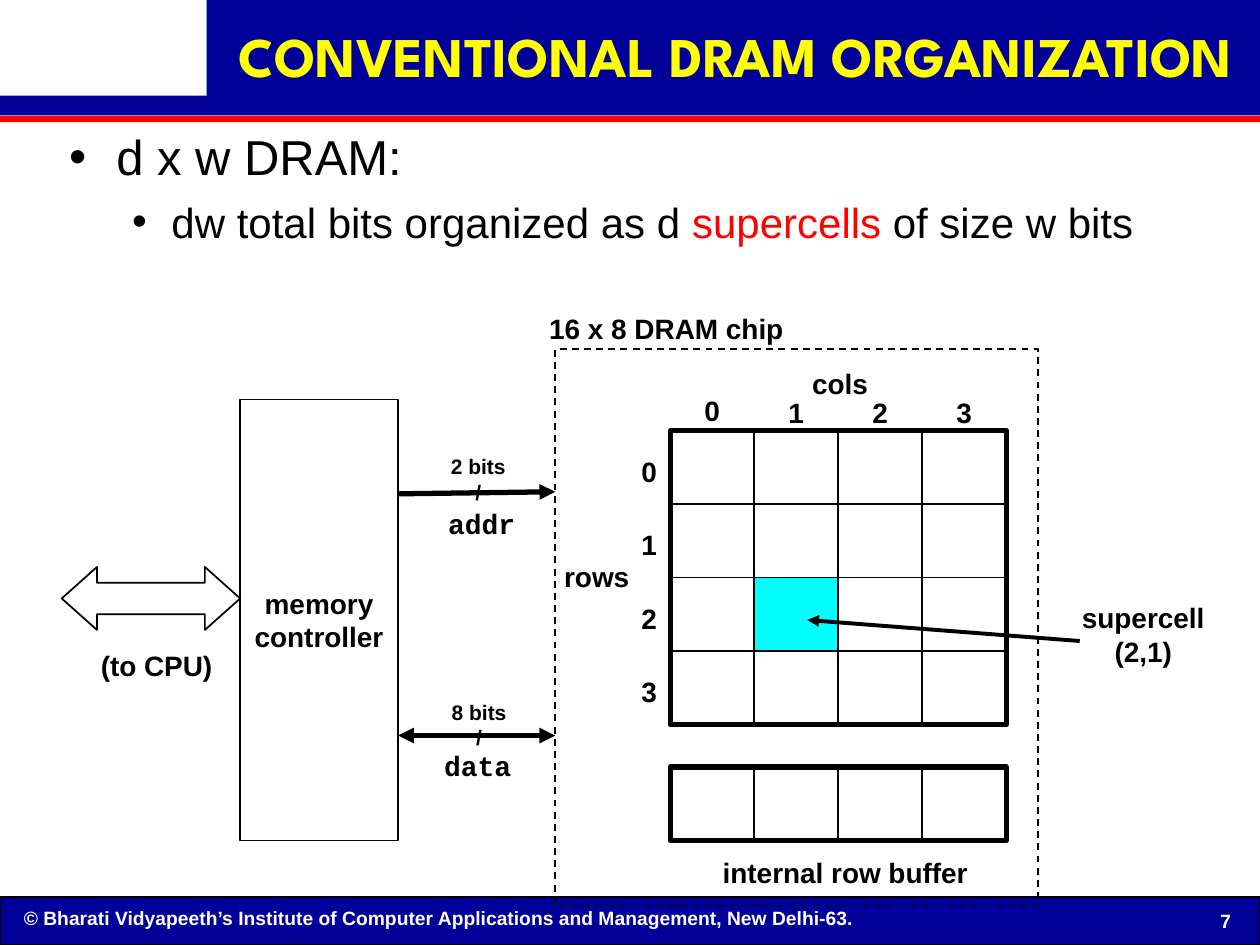
import pptx
import pptx.util
import pptx.dml.color
import pptx.enum.dml
import pptx.enum.shapes
import pptx.enum.text
import pptx.oxml
import pptx.oxml.ns

Pt = pptx.util.Pt
SHAPE = pptx.enum.shapes.MSO_SHAPE
ALIGN = pptx.enum.text.PP_ALIGN
ANCHOR = pptx.enum.text.MSO_ANCHOR
COLORS = {"navy": "000099", "red": "FF0000", "yellow": "FFFF00", "cyan": "00FFFF",
          "white": "FFFFFF", "black": "000000"}


def rgb(name):
    return pptx.dml.color.RGBColor.from_string(COLORS[name])


def write(p, text, size=16, color="black", bold=True, font="Arial"):
    r = p.add_run()
    r.text = text
    r.font.size, r.font.bold, r.font.name = Pt(size), bold, font
    r.font.color.rgb = rgb(color)


def add_xml(parent, tag, **attrs):
    el = pptx.oxml.parse_xml(f"<a:{tag} {pptx.oxml.ns.nsdecls('a')}/>")
    for key, value in attrs.items():
        el.set(key, value)
    parent.append(el)


class Diagram:
    def __init__(self, prs):
        self.s = prs.slides.add_slide(prs.slide_layouts[6])

    def shape(self, x, y, w, h, fill=None, line=None, kind=SHAPE.RECTANGLE, dash=None):
        sp = self.s.shapes.add_shape(kind, Pt(x), Pt(y), Pt(w), Pt(h))
        sp.shadow.inherit = False
        if fill:
            sp.fill.solid()
            sp.fill.fore_color.rgb = rgb(fill)
        else:
            sp.fill.background()
        if line:
            sp.line.color.rgb = rgb("black")
            sp.line.width = Pt(line)
            sp.line.dash_style = dash
        else:
            sp.line.fill.background()
        return sp

    def frame(self, sp, wrap=False, anchor=ANCHOR.MIDDLE, inset=(7.2, 3.6)):
        tf = sp.text_frame
        tf.word_wrap, tf.vertical_anchor = wrap, anchor
        tf.margin_left = tf.margin_right = Pt(inset[0])
        tf.margin_top = tf.margin_bottom = Pt(inset[1])
        return tf

    def box(self, x, y, w, h, **options):
        return self.frame(self.s.shapes.add_textbox(Pt(x), Pt(y), Pt(w), Pt(h)), **options)

    def lines(self, tf, text, align=ALIGN.CENTER, **style):
        for i, line in enumerate(text.split("\n")):
            p = tf.add_paragraph() if i else tf.paragraphs[0]
            p.alignment = align
            write(p, line, **style)

    def label(self, x, y, w, h, text, **style):
        tf = self.box(x, y, w, h, inset=(3.6, 3.6))
        tf.auto_size = pptx.enum.text.MSO_AUTO_SIZE.NONE
        self.lines(tf, text, **style)

    def bullet(self, p, left, hang, parts, size):
        pPr = p._p.get_or_add_pPr()
        pPr.set("marL", str(Pt(left)))
        pPr.set("indent", str(-Pt(hang)))
        add_xml(pPr, "buFont", typeface="Arial")
        add_xml(pPr, "buChar", char="•")
        for text, color in parts:
            write(p, text, size=size, color=color, bold=False)

    def arrow(self, x1, y1, x2, y2, width=3, both=False):
        line = self.s.shapes.add_connector(
            pptx.enum.shapes.MSO_CONNECTOR.STRAIGHT, Pt(x1), Pt(y1), Pt(x2), Pt(y2))
        line.line.color.rgb = rgb("black")
        line.line.width = Pt(width)
        ln = line.line._get_or_add_ln()
        if both:
            add_xml(ln, "headEnd", type="triangle")
        add_xml(ln, "tailEnd", type="triangle")
        add_xml(line._element.spPr, "effectLst")

    def grid(self, x, y, cell_w, cell_h, rows, cols, marked=None):
        for row in range(rows):
            for col in range(cols):
                fill = "cyan" if (row, col) == marked else "white"
                self.shape(x + col * cell_w, y + row * cell_h, cell_w, cell_h, fill, 1)


def main():
    prs = pptx.Presentation()
    prs.slide_width, prs.slide_height = Pt(720), Pt(540)
    d = Diagram(prs)

    # Footer
    d.shape(0, 512.6, 720, 27.4, "navy", 0.75)
    d.lines(d.box(6.5, 514.3, 661, 21, wrap=True, anchor=ANCHOR.TOP),
            "© Bharati Vidyapeeth’s Institute of Computer Applications and Management, New Delhi-63.",
            align=ALIGN.LEFT, size=11, color="white")
    d.label(682, 517.7, 37, 17.3, "7", size=11, color="white")

    # Header and title
    d.shape(0, 66.2, 720, 3.6, "red")
    d.shape(118, 0, 602, 55, "navy")
    d.shape(0, 54.7, 720, 11.3, "navy")
    title = d.box(121.7, 1.4, 597.6, 64.8, wrap=True, inset=(3.6, 3.6))
    d.lines(title, "CONVENTIONAL DRAM ORGANIZATION", size=32, color="yellow",
            font="League Spartan")
    title.paragraphs[0].line_spacing = 0.9

    # Bullets
    tf = d.box(32.4, 69, 654.5, 411, wrap=True, anchor=ANCHOR.TOP)
    d.bullet(tf.paragraphs[0], 27, 27, [("d x w DRAM:", "black")], 28)
    p = tf.add_paragraph()
    p.level = 1
    p.space_before = Pt(6)
    d.bullet(p, 58.5, 22.5, [("dw total bits organized as d ", "black"),
                             ("supercells", "red"), (" of size w bits", "black")], 24)

    # Supercell array with row and column numbers
    x, y, cell_w, cell_h, n = 383, 246, 48, 42, 4
    d.label(455, 205.5, 50, 26.5, "cols")
    d.label(313, 316.3, 56, 26.5, "rows")
    d.grid(x, y, cell_w, cell_h, n, n, marked=(2, 1))
    for i in range(n):
        d.label(x + 12.5 + i * cell_w, 222.5 if i else 221, 23, 26.5, str(i))
        d.label(359.5, y + 10 + i * cell_h, 23, 26.5, str(i))
    d.shape(x, y, n * cell_w, n * cell_h, line=3)

    # Internal row buffer
    d.grid(x, 438.3, cell_w, cell_h, 1, n)
    d.shape(x, 438.3, n * cell_w, cell_h, line=3)
    d.label(402, 485.5, 162, 26.5, "internal row buffer")

    # Chip outline
    d.shape(317.3, 199.5, 275.7, 318, line=1, dash=pptx.enum.dml.MSO_LINE.DASH)
    d.label(306.5, 174.5, 148.5, 26.5, "16 x 8 DRAM chip")

    # Address and data lines
    d.arrow(227.5, 282.2, 317.3, 281)
    d.label(249, 286, 52.5, 26.5, "addr", font="Courier New")
    d.arrow(227.5, 420.3, 317.3, 420.3, both=True)
    d.label(246.7, 424, 52.5, 26.5, "data", font="Courier New")
    d.label(250.5, 255.8, 45.5, 36, "2 bits\n/", size=12)
    d.label(251, 396, 45.5, 36, "8 bits\n/", size=12)

    # Supercell callout
    d.label(611, 339.3, 84.5, 46, "supercell\n(2,1)")
    d.arrow(617, 366.3, 461.3, 354.3, width=2.25)

    # Memory controller and CPU link
    controller = d.shape(137.3, 228.3, 90, 252, "white", 1)
    d.lines(d.frame(controller), "memory\ncontroller")
    cpu_link = d.shape(35.3, 324, 102, 36, "white", 1, kind=SHAPE.LEFT_RIGHT_ARROW)
    cpu_link.adjustments[0], cpu_link.adjustments[1] = 0.5, 0.56
    d.label(50.5, 366.7, 78, 26.5, "(to CPU)")

    prs.save("out.pptx")


if __name__ == "__main__":
    main()
